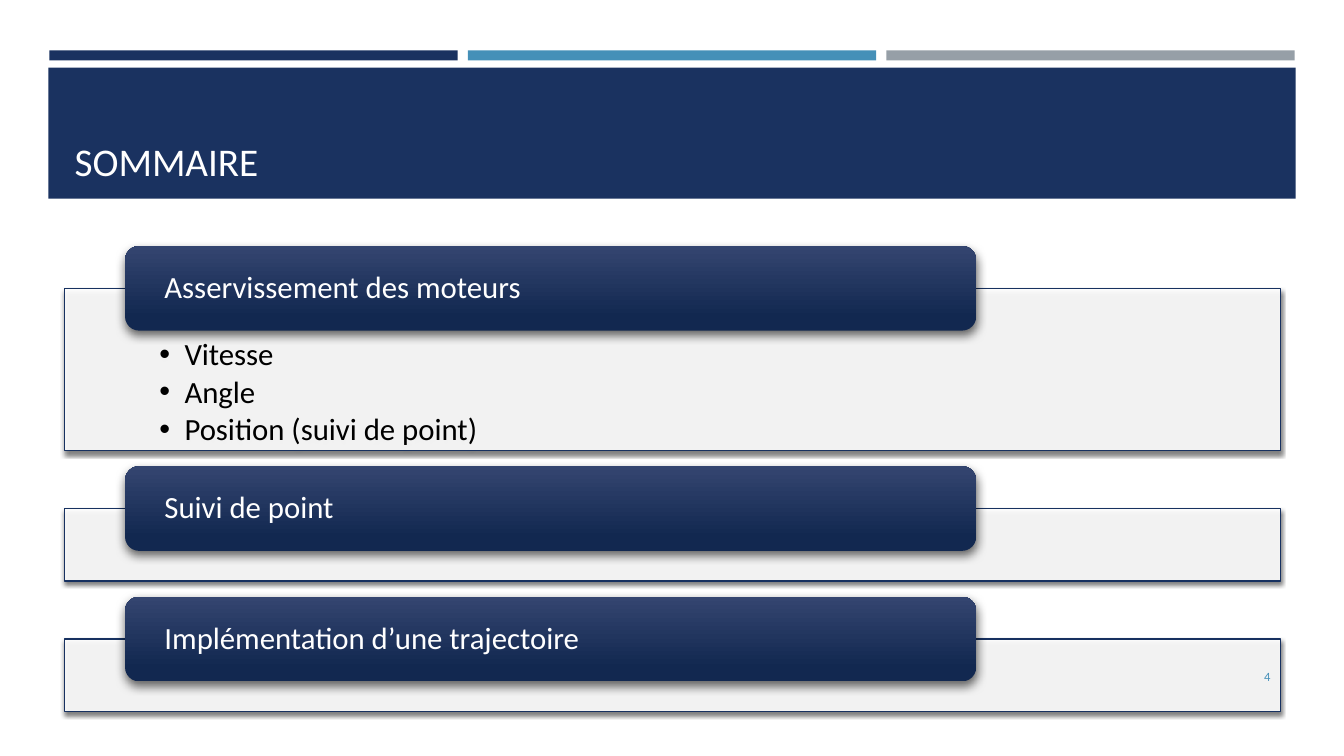
from lxml.etree import SubElement
from pptx import Presentation
from pptx.dml.color import RGBColor
from pptx.enum.shapes import MSO_SHAPE
from pptx.enum.text import MSO_ANCHOR, PP_ALIGN
from pptx.oxml.ns import qn
from pptx.util import Inches, Pt

COLORS = {
    "navy": "1A3260", "blue": "4590B8", "gray": "969FA7",
    "white": "FFFFFF", "black": "000000", "outline": "173160",
    "tab_dark": "122850", "tab_light": "344570",
}
SECTIONS = [
    ("Asservissement des moteurs", 1.61,
     ["Vitesse", "Angle", "Position (suivi de point)"]),
    ("Suivi de point", 0.72, []),
    ("Implémentation d’une trajectoire", 0.72, []),
]


def rgb(name):
    return RGBColor.from_string(COLORS[name])


def add_box(s, kind, box, fill=None):
    sp = s.shapes.add_shape(kind, *map(Inches, box))
    sp.shadow.inherit = False
    sp.line.fill.background()
    if fill:
        sp.fill.solid()
        sp.fill.fore_color.rgb = rgb(fill)
    return sp


def add_shadow(sp, alpha, blur, dist, angle):
    effects = sp.element.spPr.find(qn("a:effectLst"))
    shadow = SubElement(effects, qn("a:outerShdw"), blurRad=str(Pt(blur)),
                        dist=str(Pt(dist)), dir=str(angle * 60000),
                        rotWithShape="0")
    color = SubElement(shadow, qn("a:srgbClr"), val=COLORS["black"])
    SubElement(color, qn("a:alpha"), val=str(alpha * 1000))


def add_bullet(p):
    pPr = p._p.get_or_add_pPr()
    pPr.set("marL", str(Inches(0.25)))
    pPr.set("indent", str(Inches(-0.25)))
    color = SubElement(pPr, qn("a:buClr"))
    SubElement(color, qn("a:srgbClr"), val=COLORS["black"])
    SubElement(pPr, qn("a:buFont"), typeface="Arial")
    SubElement(pPr, qn("a:buChar"), char="•")


def set_text(sp, lines, size=22, color="white", align=PP_ALIGN.LEFT,
             anchor=MSO_ANCHOR.MIDDLE, insets=(0.1, 0.05, 0.1, 0.05),
             spacing=1.0, before=0, bullets=False):
    tf = sp.text_frame
    tf.word_wrap = True
    tf.vertical_anchor = anchor
    (tf.margin_left, tf.margin_top,
     tf.margin_right, tf.margin_bottom) = map(Inches, insets)
    for i, line in enumerate(lines):
        p = tf.add_paragraph() if i else tf.paragraphs[0]
        p.alignment = align
        p.line_spacing = spacing
        p.space_before = Pt(before if i else 0)
        if bullets:
            p.level = 1
            add_bullet(p)
        r = p.add_run()
        r.text = line
        r.font.size = Pt(size)
        r.font.name = "Calibri"
        r.font.color.rgb = rgb(color)


def add_header(s, text, left, top, width):
    title = s.shapes.title
    for i, color in enumerate(["navy", "blue", "gray"]):
        add_box(s, MSO_SHAPE.RECTANGLE,
                (left + 0.01 + i * 4.15, top, 4.05, 0.1), color)
    band = add_box(s, MSO_SHAPE.RECTANGLE, (left, top + 0.17, width, 1.3), "navy")
    title.element.addprevious(band.element)
    title.left, title.top = Inches(left + 0.16), Inches(top + 0.27)
    title.width, title.height = Inches(width - 0.31), Inches(1.11)
    set_text(title, [text], size=28, anchor=MSO_ANCHOR.BOTTOM)


def add_section(s, heading, items, left, top, width, height):
    panel = add_box(s, MSO_SHAPE.RECTANGLE, (left, top, width, height), "white")
    color = panel.element.spPr.find(qn("a:solidFill"))[0]
    SubElement(color, qn("a:alpha"), val="90000")
    panel.line.color.rgb = rgb("outline")
    panel.line.width = Pt(1)
    add_shadow(panel, 55, 3, 2, 90)
    if items:
        set_text(panel, items, color="black", anchor=MSO_ANCHOR.TOP,
                 insets=(0.94, 0.5, 0.94, 0.17), spacing=0.9, before=3.3,
                 bullets=True)

    tab = add_box(s, MSO_SHAPE.ROUNDED_RECTANGLE,
                  (left + 0.6, top - 0.42, width * 0.7, 0.84))
    tab.fill.gradient()
    tab.fill.gradient_angle = 90
    stops = [("tab_dark", 0.16), ("tab_light", 1.0)]
    for stop, (name, position) in zip(tab.fill.gradient_stops, stops):
        stop.color.rgb = rgb(name)
        stop.position = position
    add_shadow(tab, 60, 7, 3, 84)
    set_text(tab, [heading], insets=(0.35, 0, 0.35, 0), spacing=0.9)


def add_summary(s, left, top, width):
    for heading, height, items in SECTIONS:
        add_section(s, heading, items, left, top, width, height)
        top += height + 0.575


def add_slide_number(s, text, left, top, width, height):
    sp = s.shapes.add_textbox(*map(Inches, (left, top, width, height)))
    set_text(sp, [text], size=9, color="blue", align=PP_ALIGN.RIGHT)


def main():
    prs = Presentation()
    prs.slide_width, prs.slide_height = Inches(13.33), Inches(7.5)
    s = prs.slides.add_slide(prs.slide_layouts[5])
    add_header(s, "SOMMAIRE", 0.48, 0.5, 12.37)
    add_summary(s, 0.64, 2.86, 12.06)
    add_slide_number(s, "4", 11.55, 6.51, 1.15, 0.4)
    prs.save("out.pptx")


if __name__ == "__main__":
    main()
